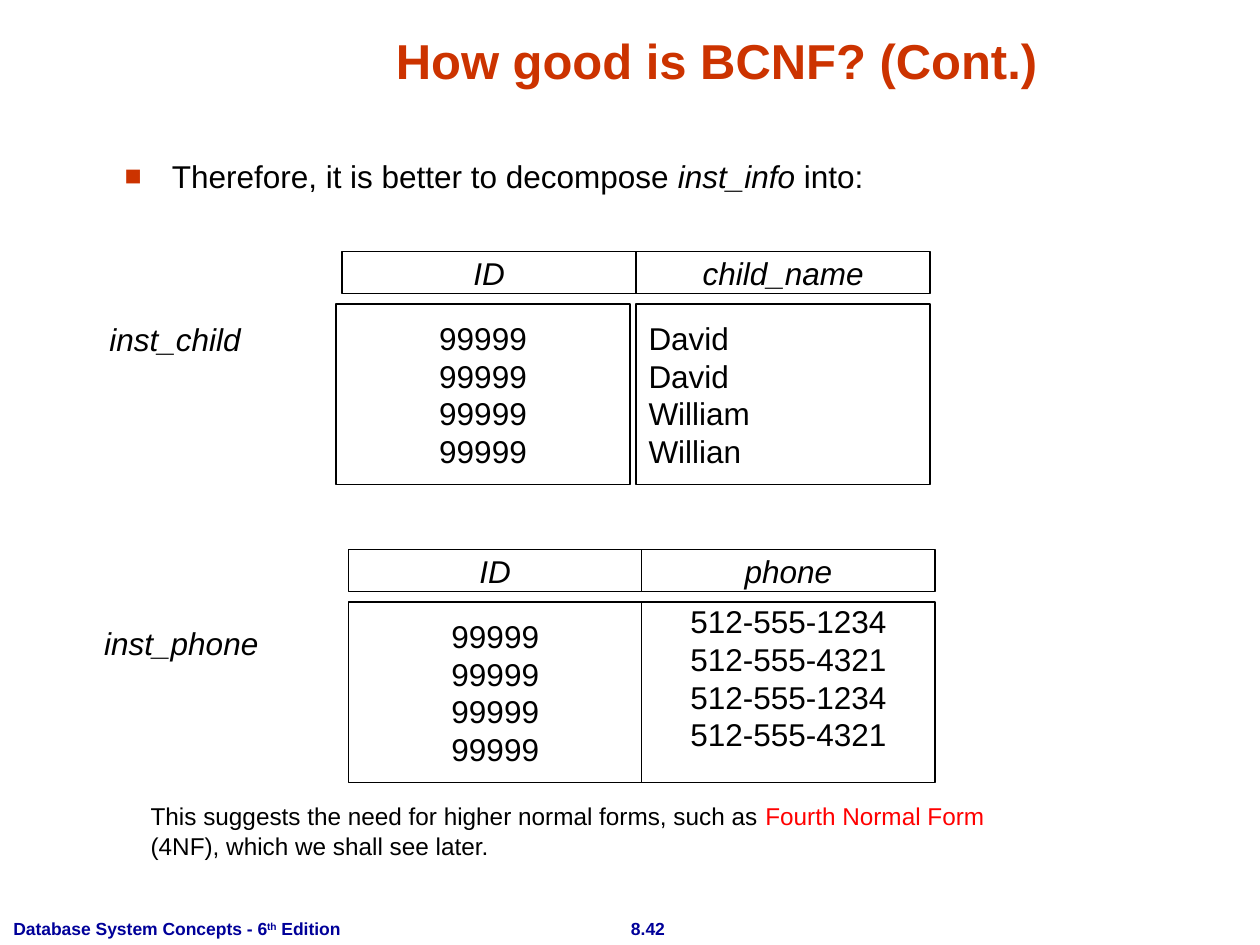
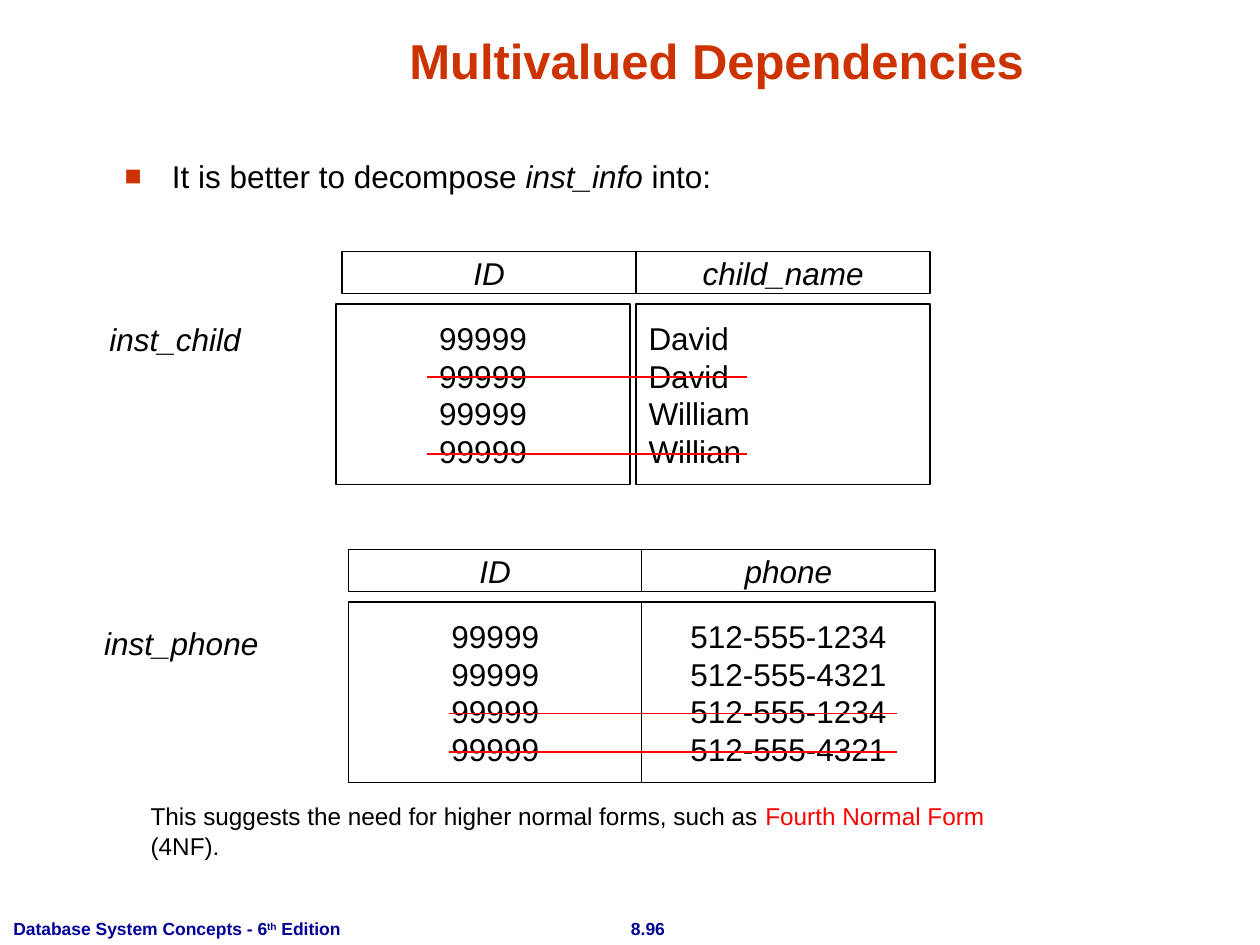
from dataclasses import dataclass

from lxml.etree import SubElement
from pptx import Presentation
from pptx.dml.color import RGBColor
from pptx.enum.shapes import MSO_CONNECTOR, MSO_SHAPE
from pptx.enum.text import MSO_ANCHOR as Anchor, MSO_AUTO_SIZE as AutoSize, PP_ALIGN as Align
from pptx.oxml.ns import qn
from pptx.util import Pt

# Shared style
FONT = "Arial"
BLACK, WHITE, RED = "000000", "FFFFFF", "FF0000"
ACCENT, FOOTER_BLUE = "CC3300", "000099"
TEXT_SIZE, NOTE_SIZE, TITLE_SIZE, FOOTER_SIZE = 18, 13.9, 28, 10

# Relation geometry, in points
HEADER_HEIGHT, ROWS_HEIGHT, ROWS_OFFSET = 24, 103.25, 30
FIRST_STRIKE, ROW_PITCH = 19.75, 22


@dataclass(frozen=True)
class Relation:
    name: str
    name_box: tuple[float, float, float, float]
    columns: tuple[str, str]
    values: tuple[tuple[str, ...], tuple[str, ...]]
    header_lefts: tuple[float, float]
    row_lefts: tuple[float, float]
    top: float
    width: float
    value_align: Align
    strike_span: tuple[float, float]


@dataclass(frozen=True)
class DecompositionSlide:
    title: str
    lead: str
    note_end: str
    number: str
    phone_anchor: Anchor = Anchor.MIDDLE
    struck_rows: tuple[tuple[int, ...], tuple[int, ...]] = ((), ())


IDS = ("99999",) * 4
CHILD = Relation(
    "inst_child", (55.5, 179.5, 92, 28.5), ("ID", "child_name"),
    (IDS, ("David", "David", "William", "Willian")),
    (195.5, 363.5), (192, 363.5), 143.75, 168, Align.LEFT, (244, 427))
PHONE = Relation(
    "inst_phone", (52.5, 353, 105, 28.5), ("ID", "phone"),
    (IDS, ("512-555-1234", "512-555-4321") * 2),
    (199.25, 366.75), (199.25, 366.75), 314, 167.5, Align.CENTER, (256.5, 512.5))

SLIDES = (
    DecompositionSlide(
        "How good is BCNF? (Cont.)", "Therefore, it is better to decompose ",
        " (4NF), which we shall see later.", "8.42", phone_anchor=Anchor.TOP),
    DecompositionSlide(
        "Multivalued Dependencies", "It is better to decompose ",
        " (4NF).", "8.96", struck_rows=((1, 3), (2, 3))),
)


def color(hex_value: str) -> RGBColor:
    return RGBColor.from_string(hex_value)


def add_text(paragraph, text: str, *, size: float = TEXT_SIZE, fill: str = BLACK,
             bold: bool = False, italic: bool = False, superscript: bool = False) -> None:
    run = paragraph.add_run()
    run.text = text
    font = run.font
    font.name, font.size, font.bold, font.italic = FONT, Pt(size), bold, italic
    font.color.rgb = color(fill)
    if superscript:
        run._r.get_or_add_rPr().set("baseline", "30000")


def add_text_box(slide, box: tuple[float, ...], align: Align = Align.LEFT,
                 wrap: bool = False):
    """Add a text box and return its first paragraph."""
    frame = slide.shapes.add_textbox(*map(Pt, box)).text_frame
    frame.word_wrap = wrap
    frame.auto_size = AutoSize.NONE if wrap else AutoSize.SHAPE_TO_FIT_TEXT
    frame.paragraphs[0].alignment = align
    return frame.paragraphs[0]


def place(placeholder, box: tuple[float, ...], anchor: Anchor, align: Align):
    """Move a placeholder and return its first paragraph."""
    placeholder.left, placeholder.top, placeholder.width, placeholder.height = map(Pt, box)
    frame = placeholder.text_frame
    frame.auto_size = AutoSize.NONE
    frame.vertical_anchor = anchor
    paragraph = frame.paragraphs[0]
    paragraph.alignment = align
    paragraph.space_before = Pt(0)
    return paragraph


def add_square_bullet(paragraph, indent: float) -> None:
    properties = paragraph._p.get_or_add_pPr()
    properties.set("marL", str(Pt(indent)))
    properties.set("indent", str(-Pt(indent)))
    bullet_color = SubElement(properties, qn("a:buClr"))
    SubElement(bullet_color, qn("a:srgbClr"), val=ACCENT)
    SubElement(properties, qn("a:buSzPct"), val="90000")
    SubElement(properties, qn("a:buFont"), typeface=FONT)
    SubElement(properties, qn("a:buChar"), char="■")


def add_cell_box(slide, box: tuple[float, ...], lines: tuple[str, ...], align: Align,
                 italic: bool = False, anchor: Anchor = Anchor.MIDDLE) -> None:
    shape = slide.shapes.add_shape(MSO_SHAPE.RECTANGLE, *map(Pt, box))
    shape.shadow.inherit = False
    shape.fill.solid()
    shape.fill.fore_color.rgb = color(WHITE)
    shape.line.color.rgb = color(BLACK)
    shape.line.width = Pt(0.75)
    frame = shape.text_frame
    frame.word_wrap = True
    frame.vertical_anchor = anchor
    if anchor == Anchor.TOP:
        frame.margin_top = 0
    for index, line in enumerate(lines):
        paragraph = frame.add_paragraph() if index else frame.paragraphs[0]
        paragraph.alignment = align
        add_text(paragraph, line, italic=italic)


def add_strike(slide, span: tuple[float, float], y: float) -> None:
    left, right = span
    line = slide.shapes.add_connector(
        MSO_CONNECTOR.STRAIGHT, Pt(left), Pt(y), Pt(right), Pt(y))
    line.line.color.rgb = color(RED)
    line.line.width = Pt(1)
    SubElement(line._element.spPr, qn("a:effectLst"))


def add_relation(slide, relation: Relation, last_anchor: Anchor = Anchor.MIDDLE) -> None:
    for left, column in zip(relation.header_lefts, relation.columns):
        add_cell_box(slide, (left, relation.top, relation.width, HEADER_HEIGHT),
                     (column,), Align.CENTER, italic=True)
    aligns = (Align.CENTER, relation.value_align)
    anchors = (Anchor.MIDDLE, last_anchor)
    for left, lines, align, anchor in zip(relation.row_lefts, relation.values, aligns, anchors):
        add_cell_box(slide, (left, relation.top + ROWS_OFFSET, relation.width, ROWS_HEIGHT),
                     lines, align, anchor=anchor)
    add_text(add_text_box(slide, relation.name_box), relation.name, italic=True)


def add_footer(slide, number: str) -> None:
    style = dict(size=FOOTER_SIZE, fill=FOOTER_BLUE, bold=True)
    add_text(add_text_box(slide, (335, 521, 70.5, 19), Align.CENTER), number, **style)
    edition = add_text_box(slide, (0.5, 521, 206, 19))
    add_text(edition, "Database System Concepts - 6", **style)
    add_text(edition, "th", superscript=True, **style)
    add_text(edition, " Edition", **style)


def build_slide(presentation, content: DecompositionSlide) -> None:
    slide = presentation.slides.add_slide(presentation.slide_layouts[1])
    add_footer(slide, content.number)

    # Title and lead sentence
    title = place(slide.shapes.title, (129, 9, 561, 45.5), Anchor.BOTTOM, Align.CENTER)
    add_text(title, content.title, size=TITLE_SIZE, fill=ACCENT, bold=True)
    lead = place(slide.placeholders[1], (64, 86, 529, 42), Anchor.TOP, Align.LEFT)
    add_square_bullet(lead, 27)
    add_text(lead, content.lead)
    add_text(lead, "inst_info ", italic=True)
    add_text(lead, "into:")

    # Decomposed relations, with redundant rows struck out
    add_relation(slide, CHILD)
    add_relation(slide, PHONE, content.phone_anchor)
    for relation, rows in zip((CHILD, PHONE), content.struck_rows):
        for row in rows:
            y = relation.top + ROWS_OFFSET + FIRST_STRIKE + row * ROW_PITCH
            add_strike(slide, relation.strike_span, y)

    # Closing note
    note = add_text_box(slide, (79, 454.5, 529, 42), wrap=True)
    add_text(note, "This suggests the need for higher normal forms, such as ", size=NOTE_SIZE)
    add_text(note, "Fourth Normal Form", size=NOTE_SIZE, fill=RED)
    add_text(note, content.note_end, size=NOTE_SIZE)


def main() -> None:
    presentation = Presentation()
    presentation.slide_width, presentation.slide_height = Pt(720), Pt(540)
    for content in SLIDES:
        build_slide(presentation, content)
    presentation.save("out.pptx")


if __name__ == "__main__":
    main()
